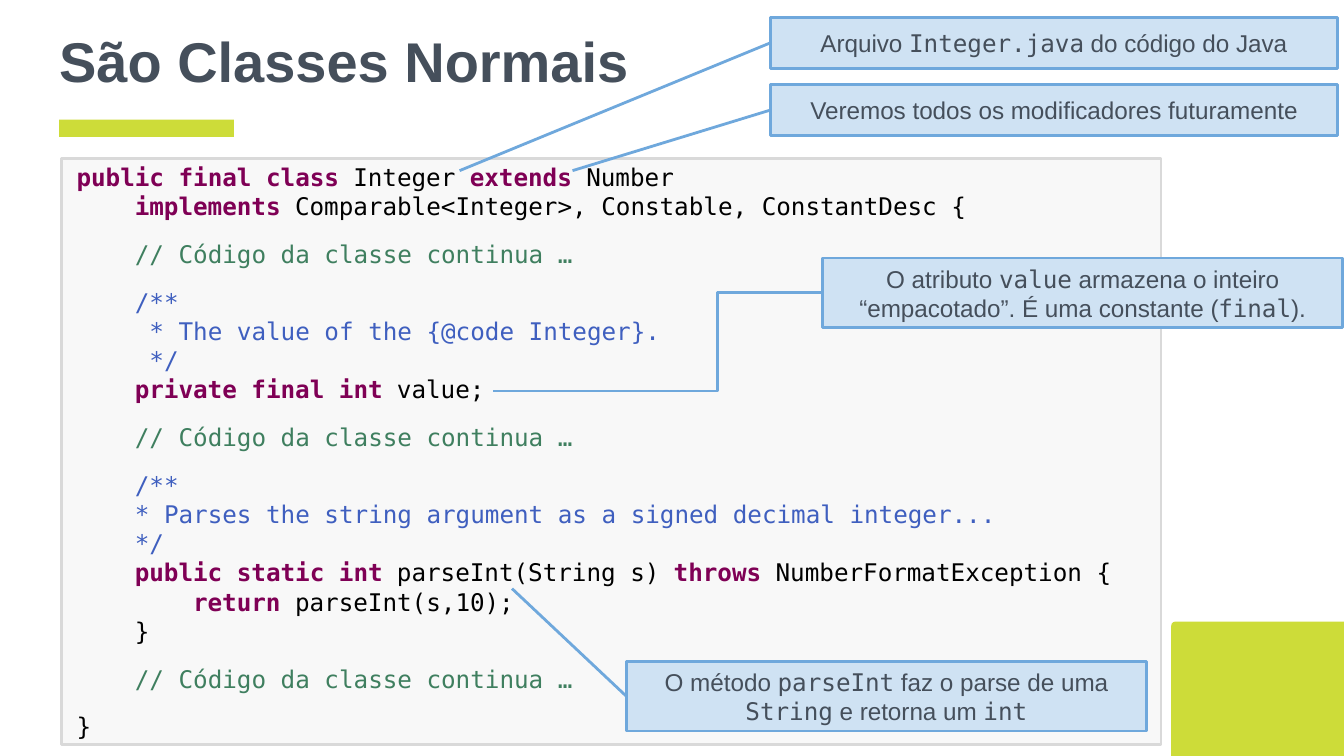
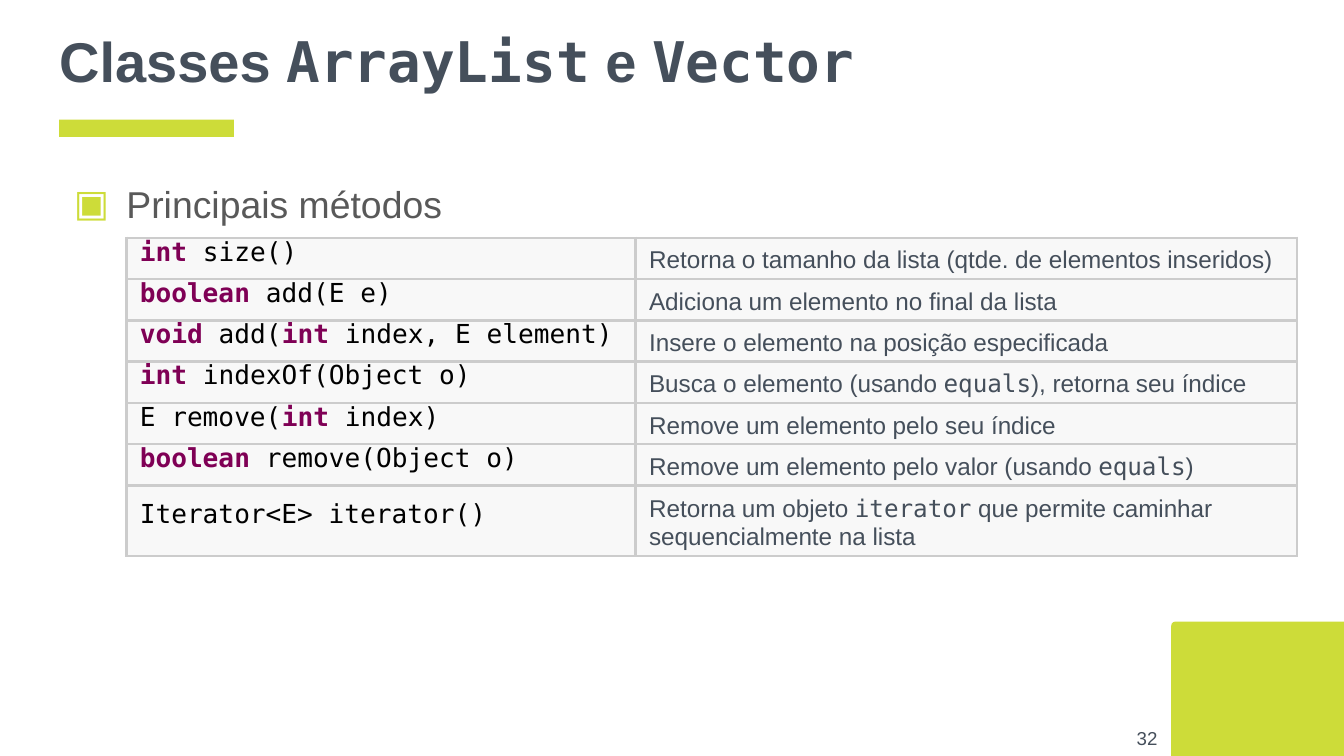
from dataclasses import dataclass
from itertools import cycle

from lxml.etree import SubElement
from pptx import Presentation
from pptx.dml.color import RGBColor
from pptx.enum.shapes import MSO_CONNECTOR, MSO_SHAPE
from pptx.enum.text import MSO_ANCHOR, PP_ALIGN
from pptx.oxml.ns import qn
from pptx.util import Inches, Pt


@dataclass(frozen=True)
class Theme:
    accent: str = "CDDC39"
    ink: str = "454F5B"
    body: str = "595959"
    panel: str = "F8F8F8"
    panel_line: str = "D9D9D9"
    grid_line: str = "CCCCCC"
    callout: str = "CFE2F3"
    callout_line: str = "6FA8DC"
    keyword: str = "7F0055"
    code: str = "000000"
    comment: str = "3F7F5F"
    javadoc: str = "3F5FBF"
    sans: str = "Arial"
    mono: str = "DejaVu Sans Mono"
    title_size: float = 30
    list_size: float = 20
    method_size: float = 14
    text_size: float = 13
    number_size: float = 10
    line_width: float = 1.5


THEME = Theme()
WIDTH, HEIGHT = Inches(10), Inches(5.625)
CELL = WIDTH / 100

CODE_TITLE = "São Classes Normais"
CONTINUES = "    // Código da classe continua …"
CODE_BLOCKS = [
    ["|public final class| Integer |extends| Number",
     "    |implements| Comparable<Integer>, Constable, ConstantDesc {"],
    [CONTINUES],
    ["    /**",
     "     * The value of the {@code Integer}.",
     "     */",
     "    |private final int| value;"],
    [CONTINUES],
    ["    /**",
     "    * Parses the string argument as a signed decimal integer...",
     "    */",
     "    |public static int| parseInt(String s) |throws| NumberFormatException {",
     "        |return| parseInt(s,10);",
     "    }"],
    [CONTINUES],
    ["}"],
]
WIDE, TALL = (42.2, 3.8), (38.7, 5.2)
CALLOUTS = [
    ("Arquivo `Integer.java` do código do Java", (57.3, 1.3), WIDE, (34.2, 12.7), None),
    ("O atributo `value` armazena o inteiro “empacotado”. É uma constante (`final`).",
     (61.2, 19.2), TALL, (36.7, 29.1), 0.68),
    ("Veremos todos os modificadores futuramente", (57.3, 6.3), WIDE, (42.6, 12.7), None),
    ("O método `parseInt` faz o parse de uma `String` e retorna um `int`",
     (46.6, 49.2), TALL, (38.1, 43.8), None),
]

METHODS_TITLE = "Classes `ArrayList` e `Vector`"
METHODS_HEADING = "Principais métodos"
METHODS_NUMBER = "32"
METHODS = [
    ("|int| size()", "Retorna o tamanho da lista (qtde. de elementos inseridos)"),
    ("|boolean| add(E e)", "Adiciona um elemento no final da lista"),
    ("|void| add(|int| index, E element)", "Insere o elemento na posição especificada"),
    ("|int| indexOf(Object o)", "Busca o elemento (usando `equals`), retorna seu índice"),
    ("E remove(|int| index)", "Remove um elemento pelo seu índice"),
    ("|boolean| remove(Object o)", "Remove um elemento pelo valor (usando `equals`)"),
    ("Iterator<E> iterator()",
     "Retorna um objeto `iterator` que permite caminhar sequencialmente na lista"),
]
METHOD_COLUMNS = (37.9, 49.2)
ONE_LINE, TWO_LINES = 2.94, 5


def cells(*counts):
    return [round(count * CELL) for count in counts]


def color(value):
    return RGBColor.from_string(value)


def add_span(para, text, size, ink, face, bold=False):
    span = para.add_run()
    span.text = text
    font = span.font
    font.size, font.name, font.bold = Pt(size), face, bold
    font.color.rgb = color(ink)


def add_prose(para, text, size=THEME.text_size, ink=THEME.ink, bold=False):
    for part, face in zip(text.split("`"), cycle((THEME.sans, THEME.mono))):
        if part:
            add_span(para, part, size, ink, face, bold)


def add_code(para, line, size=THEME.text_size):
    start = line.strip()
    if start.startswith("//"):
        plain = THEME.comment
    elif start.startswith(("/**", "*")):
        plain = THEME.javadoc
    else:
        plain = THEME.code
    for part, is_keyword in zip(line.split("|"), cycle((False, True))):
        if part:
            ink = THEME.keyword if is_keyword else plain
            add_span(para, part, size, ink, THEME.mono, is_keyword)


def set_frame(frame, across=1, down=1, anchor=MSO_ANCHOR.MIDDLE):
    frame.word_wrap = True
    frame.vertical_anchor = anchor
    frame.margin_left = frame.margin_right = cells(across)[0]
    frame.margin_top = frame.margin_bottom = cells(down)[0]


def place(shape, *area):
    shape.left, shape.top, shape.width, shape.height = cells(*area)


def add_block(page, area, fill, line=None, width=THEME.line_width, kind=MSO_SHAPE.RECTANGLE):
    block = page.shapes.add_shape(kind, *cells(*area))
    block.shadow.inherit = False
    block.fill.solid()
    block.fill.fore_color.rgb = color(fill)
    if line:
        block.line.color.rgb = color(line)
        block.line.width = Pt(width)
    else:
        block.line.fill.background()
    return block


def start_page(deck, layout, title):
    page = deck.slides.add_slide(deck.slide_layouts[layout])
    corner = add_block(page, (88.6, 44.8, 10.1, 13), THEME.accent,
                       kind=MSO_SHAPE.ROUND_1_RECTANGLE)
    corner.rotation = 270
    corner.adjustments[0] = 0.03
    add_block(page, (4.4, 8.9, 13, 1.3), THEME.accent)
    heading = page.shapes.title
    place(heading, 3.4, 0, 93.2, 8.9)
    set_frame(heading.text_frame)
    para = heading.text_frame.paragraphs[0]
    para.alignment = PP_ALIGN.LEFT
    add_prose(para, title, THEME.title_size, bold=True)
    return page


def add_listing(page):
    panel = add_block(page, (4.6, 11.8, 81.8, 43.6), THEME.panel, THEME.panel_line, 1.44)
    frame = panel.text_frame
    set_frame(frame, 1.1, 0.6)
    para = frame.paragraphs[0]
    for block_index, block in enumerate(CODE_BLOCKS):
        for line_index, line in enumerate(block):
            if block_index or line_index:
                para = frame.add_paragraph()
            para.alignment = PP_ALIGN.LEFT
            if block_index and not line_index:
                para.space_before = Pt(10)
            add_code(para, line)


def add_callout(page, text, corner, size, target, bend):
    box = add_block(page, corner + size, THEME.callout, THEME.callout_line)
    set_frame(box.text_frame)
    para = box.text_frame.paragraphs[0]
    para.alignment = PP_ALIGN.CENTER
    add_prose(para, text)

    kind = MSO_CONNECTOR.ELBOW if bend else MSO_CONNECTOR.STRAIGHT
    side = (corner[0], corner[1] + size[1] / 2)
    pointer = page.shapes.add_connector(kind, *cells(*target, *side))
    pointer.end_connect(box, 1)
    pointer.line.color.rgb = color(THEME.callout_line)
    pointer.line.width = Pt(THEME.line_width)
    properties = pointer._element.spPr
    SubElement(properties, qn("a:effectLst"))
    if bend:
        guides = properties.find(qn("a:prstGeom")).get_or_add_avLst()
        SubElement(guides, qn("a:gd"), name="adj1", fmla=f"val {round(bend * 100000)}")


def add_heading(page):
    body = page.placeholders[1]
    place(body, 3.4, 12, 93.2, 5.2)
    set_frame(body.text_frame, anchor=MSO_ANCHOR.TOP)
    para = body.text_frame.paragraphs[0]
    para.line_spacing = 1.15
    para.space_before = Pt(0)
    properties = para._p.get_or_add_pPr()
    properties.set("marL", str(Inches(0.5)))
    properties.set("indent", str(-Inches(0.39)))
    bullet_color = SubElement(properties, qn("a:buClr"))
    SubElement(bullet_color, qn("a:srgbClr"), val=THEME.accent)
    SubElement(properties, qn("a:buChar"), char="▣")
    add_prose(para, METHODS_HEADING, THEME.list_size, THEME.body)


def format_cell(cell):
    properties = cell._tc.get_or_add_tcPr()
    for edge in ("lnL", "lnR", "lnT", "lnB"):
        border = SubElement(properties, qn(f"a:{edge}"), w=str(Pt(THEME.line_width)))
        fill = SubElement(border, qn("a:solidFill"))
        SubElement(fill, qn("a:srgbClr"), val=THEME.grid_line)
    cell.fill.solid()
    cell.fill.fore_color.rgb = color(THEME.panel)
    cell.vertical_anchor = MSO_ANCHOR.MIDDLE
    cell.margin_left, cell.margin_right, cell.margin_top, cell.margin_bottom = cells(1, 1, 0.6, 0.3)


def add_methods(page):
    heights = [ONE_LINE] * (len(METHODS) - 1) + [TWO_LINES]
    area = cells(9.4, 17.7, sum(METHOD_COLUMNS), sum(heights))
    table = page.shapes.add_table(len(METHODS), len(METHOD_COLUMNS), *area).table
    table.first_row = table.horz_banding = False
    for column, width in zip(table.columns, cells(*METHOD_COLUMNS)):
        column.width = width
    for row, height, (signature, meaning) in zip(table.rows, cells(*heights), METHODS):
        row.height = height
        for cell in row.cells:
            format_cell(cell)
            cell.text_frame.paragraphs[0].space_after = Pt(2)
        code_para, text_para = (cell.text_frame.paragraphs[0] for cell in row.cells)
        code_para.line_spacing = 0.07
        add_code(code_para, signature, THEME.method_size)
        add_prose(text_para, meaning)


def add_number(page, number):
    box = page.shapes.add_textbox(*cells(81.1, 52.8, 6, 4.3))
    set_frame(box.text_frame)
    para = box.text_frame.paragraphs[0]
    para.alignment = PP_ALIGN.RIGHT
    add_prose(para, number, THEME.number_size)


def main():
    deck = Presentation()
    deck.slide_width, deck.slide_height = WIDTH, HEIGHT

    code_page = start_page(deck, 5, CODE_TITLE)
    add_listing(code_page)
    for callout in CALLOUTS:
        add_callout(code_page, *callout)

    methods_page = start_page(deck, 1, METHODS_TITLE)
    add_heading(methods_page)
    add_number(methods_page, METHODS_NUMBER)
    add_methods(methods_page)

    deck.save("out.pptx")


if __name__ == "__main__":
    main()
